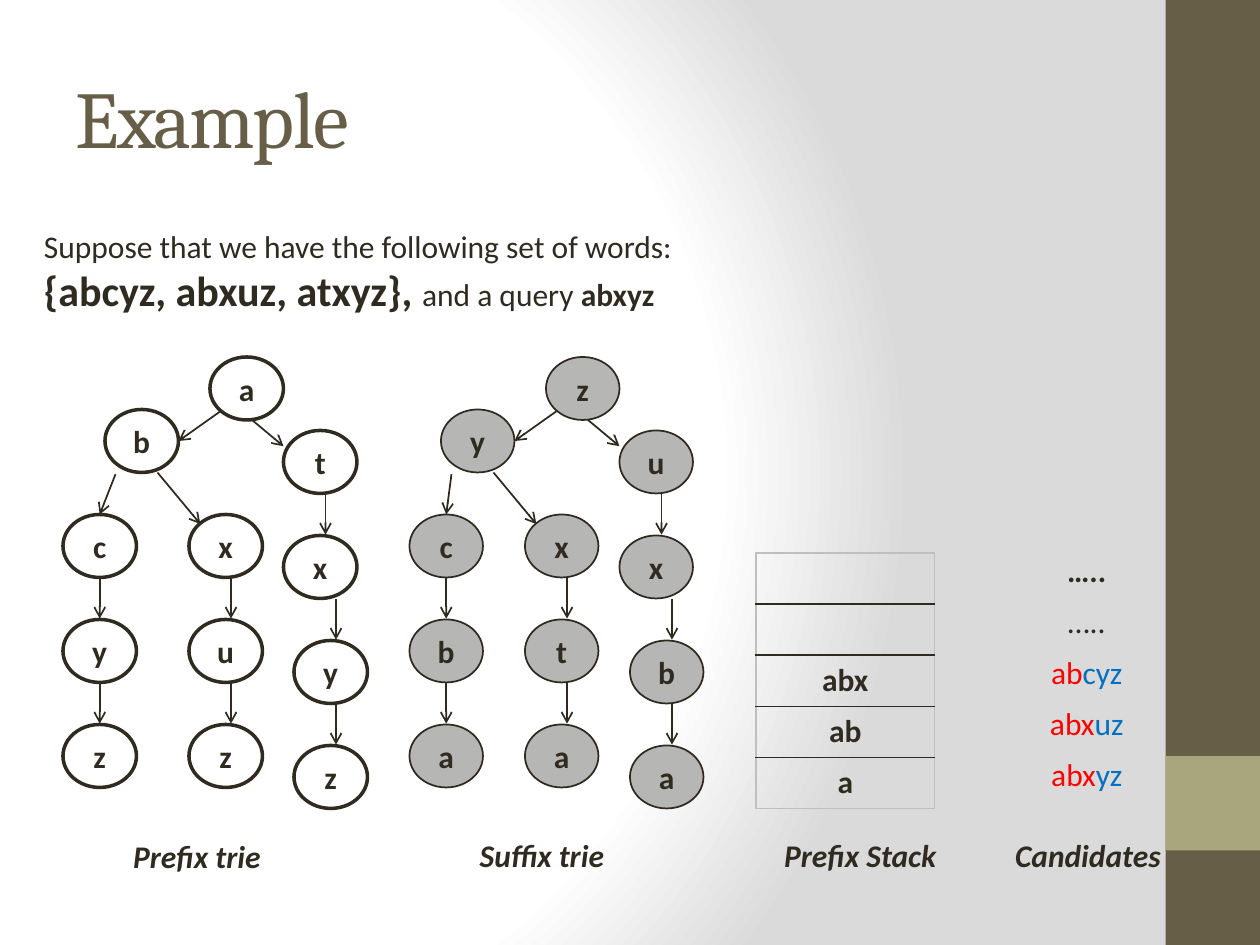
"""Build the prefix and suffix trie example slide."""
from typing import NamedTuple, Optional

from pptx import Presentation
from pptx.dml.color import RGBColor
from pptx.enum.shapes import MSO_CONNECTOR, MSO_SHAPE
from pptx.enum.text import MSO_ANCHOR, PP_ALIGN
from pptx.oxml import parse_xml
from pptx.oxml.ns import nsdecls, qn
from pptx.util import Pt

INK = RGBColor(0x2F, 0x2B, 0x20)
NODE_INK = RGBColor(0x2E, 0x2A, 0x1F)
BROWN = RGBColor(0x67, 0x5E, 0x47)
OLIVE = RGBColor(0xA9, 0xA5, 0x7C)
GREY = RGBColor(0xB6, 0xB6, 0xB5)
PALE = RGBColor(0xBF, 0xBF, 0xBF)
RED = RGBColor(0xFF, 0x00, 0x00)
BLUE = RGBColor(0x00, 0x70, 0xC0)

NODE_W, NODE_H, STEP = 42, 36, 60
BODY = {"name": "Calibri", "size": Pt(18)}
BOLD = {**BODY, "bold": True}
CAPTION = {**BOLD, "italic": True}
BACKGROUND = f"""<a:gradFill {nsdecls("a")} rotWithShape="1"><a:gsLst>
<a:gs pos="0"><a:srgbClr val="FFFFFF"/></a:gs>
<a:gs pos="75000"><a:srgbClr val="FFFFFF"/></a:gs>
<a:gs pos="100000"><a:srgbClr val="DADADA"/></a:gs></a:gsLst>
<a:path path="circle"><a:fillToRect l="20000" t="50000" r="100000" b="50000"/></a:path>
</a:gradFill>"""


class Run(NamedTuple):
    text: str
    fmt: dict = BODY
    color: RGBColor = INK


class Trie(NamedTuple):
    dx: float
    left_x: float
    root: str
    fork: str
    left: str
    middle: str
    right: str
    fill: Optional[RGBColor]
    line: RGBColor
    weight: float


TRIES = [
    Trie(0, 36, "a", "b", "cyz", "xuz", "txyz", None, INK, 2),
    Trie(192, 42, "z", "y", "cba", "xta", "uxba", GREY, NODE_INK, 1),
]
CAPTIONS = [
    ("Prefix trie", 69, 475, 99),
    ("Suffix trie", 267, 474, 99),
    ("Prefix Stack", 441, 474, 105),
    ("Candidates", 573, 474, 105),
]
STACK = [[], [], [Run("abx", BOLD)], [Run("ab", BOLD)], [Run("a", BOLD)]]
CANDIDATES = [
    [Run("…..", BOLD)],
    [Run("…..")],
    [Run("ab", color=RED), Run("cyz", color=BLUE)],
    [Run("abx", color=RED), Run("uz", color=BLUE)],
    [Run("abx", color=RED), Run("yz", color=BLUE)],
]


def write(p, runs: list[Run]) -> None:
    """Add formatted runs to a paragraph."""
    for run in runs:
        r = p.add_run()
        r.text = run.text
        for key, value in run.fmt.items():
            setattr(r.font, key, value)
        r.font.color.rgb = run.color


def add_text(s, x: float, y: float, w: float, h: float, lines: list[list[Run]]):
    """Add a wrapping text box with one paragraph per line."""
    tf = s.shapes.add_textbox(Pt(x), Pt(y), Pt(w), Pt(h)).text_frame
    tf.word_wrap = True
    for i, runs in enumerate(lines):
        write(tf.add_paragraph() if i else tf.paragraphs[0], runs)
    return tf


def add_bar(s, y: float, h: float, color: RGBColor) -> None:
    """Add a block of the right-hand band."""
    sp = s.shapes.add_shape(MSO_SHAPE.RECTANGLE, Pt(666), Pt(y), Pt(54), Pt(h))
    sp.shadow.inherit = False
    sp.fill.solid()
    sp.fill.fore_color.rgb = color
    sp.line.fill.background()


def add_node(s, trie: Trie, letter: str, x: float, y: float) -> None:
    """Add one lettered trie node."""
    sp = s.shapes.add_shape(MSO_SHAPE.OVAL, Pt(trie.dx + x), Pt(y), Pt(NODE_W), Pt(NODE_H))
    sp.shadow.inherit = False
    if trie.fill is None:
        sp.fill.background()
    else:
        sp.fill.solid()
        sp.fill.fore_color.rgb = trie.fill
    sp.line.color.rgb = trie.line
    sp.line.width = Pt(trie.weight)
    tf = sp.text_frame
    tf.vertical_anchor = MSO_ANCHOR.MIDDLE
    p = tf.paragraphs[0]
    p.alignment = PP_ALIGN.CENTER
    write(p, [Run(letter, BOLD)])


def add_arrow(s, trie: Trie, x1: float, y1: float, x2: float, y2: float) -> None:
    """Add an arrow between two trie nodes."""
    c = s.shapes.add_connector(
        MSO_CONNECTOR.STRAIGHT, Pt(trie.dx + x1), Pt(y1), Pt(trie.dx + x2), Pt(y2))
    c.line.color.rgb = trie.line
    c.line.width = Pt(1)
    c.line._get_or_add_ln().append(parse_xml(f'<a:tailEnd {nsdecls("a")} type="arrow"/>'))
    c.element.spPr.append(parse_xml(f'<a:effectLst {nsdecls("a")}/>'))


def add_chain(s, trie: Trie, letters: str, xs: list[float], y: float, axis: float) -> None:
    """Add a column of nodes joined by downward arrows."""
    for i, (letter, x) in enumerate(zip(letters, xs)):
        top = y + i * STEP
        add_node(s, trie, letter, x, top)
        if i:
            add_arrow(s, trie, x + axis, top - STEP + NODE_H, x + axis, top - 0.5)


def add_trie(s, trie: Trie) -> None:
    """Add a whole trie with its three branches."""
    add_arrow(s, trie, 126, 235, 102, 252)
    add_arrow(s, trie, 144, 240, 162, 255)
    add_arrow(s, trie, 66, 271, trie.left_x + NODE_W / 2, 294)
    add_arrow(s, trie, 90, 270, 114.5, 299.5)
    add_node(s, trie, trie.root, 120, 204)
    add_node(s, trie, trie.fork, 60, 234)
    add_chain(s, trie, trie.left, [trie.left_x] * 3, 294, NODE_W / 2)
    add_chain(s, trie, trie.middle, [108] * 3, 294, 24)
    add_chain(s, trie, trie.right, [162, 162, 168, 168], 246, 24)


def set_border(cell, side: str, color: Optional[RGBColor]) -> None:
    """Set one cell border, or hide it when no colour is given."""
    paint = f'<a:solidFill><a:srgbClr val="{color}"/></a:solidFill>' if color else "<a:noFill/>"
    pr = cell._tc.get_or_add_tcPr()
    pr.append(parse_xml(f'<a:{side} {nsdecls("a")} w="12700">{paint}</a:{side}>'))


def add_column(s, x: float, y: float, rows: list[list[Run]], ruled: bool) -> None:
    """Add a one-column table, with or without rules."""
    n, w, h = len(rows), 102, 29.2
    tbl = s.shapes.add_table(n, 1, Pt(x), Pt(y), Pt(w), Pt(h * n)).table
    tbl.first_row = tbl.horz_banding = False
    for i, runs in enumerate(rows):
        tbl.rows[i].height = Pt(h)
        cell = tbl.cell(i, 0)
        edges = {"lnL": PALE, "lnR": PALE, "lnT": INK if i else PALE,
                 "lnB": INK if i < n - 1 else PALE}
        for side, color in edges.items():
            set_border(cell, side, color if ruled else None)
        cell.fill.background()
        p = cell.text_frame.paragraphs[0]
        p.alignment = PP_ALIGN.CENTER
        write(p, runs)


def main() -> None:
    """Build and save the slide."""
    prs = Presentation()
    prs.slide_width, prs.slide_height = Pt(720), Pt(540)
    s = prs.slides.add_slide(prs.slide_layouts[6])
    s.background.fill.gradient()
    grad = next(s.element.iter(qn("a:gradFill")))
    grad.getparent().replace(grad, parse_xml(BACKGROUND))
    add_bar(s, 0, 540, BROWN)
    add_bar(s, 432, 54, OLIVE)

    title = {"name": "Cambria", "size": Pt(46)}
    tf = add_text(s, 36, 21.6, 600, 90, [[Run("Example", title, BROWN)]])
    tf.vertical_anchor = MSO_ANCHOR.MIDDLE
    tf.paragraphs[0].runs[0].font._element.set("spc", "-100")
    add_text(s, 18, 126, 696, 58.5, [
        [Run("Suppose that we have the following set of words:")],
        [Run("{abcyz, abxuz, atxyz}, ", {**BOLD, "size": Pt(24)}),
         Run("and a query "), Run("abxyz", BOLD)],
    ])
    for trie in TRIES:
        add_trie(s, trie)
    for text, x, y, w in CAPTIONS:
        add_text(s, x, y, w, 29, [[Run(text, CAPTION)]])
    add_column(s, 432, 316, STACK, True)
    add_column(s, 570, 312, CANDIDATES, False)
    prs.save("out.pptx")


if __name__ == "__main__":
    main()
